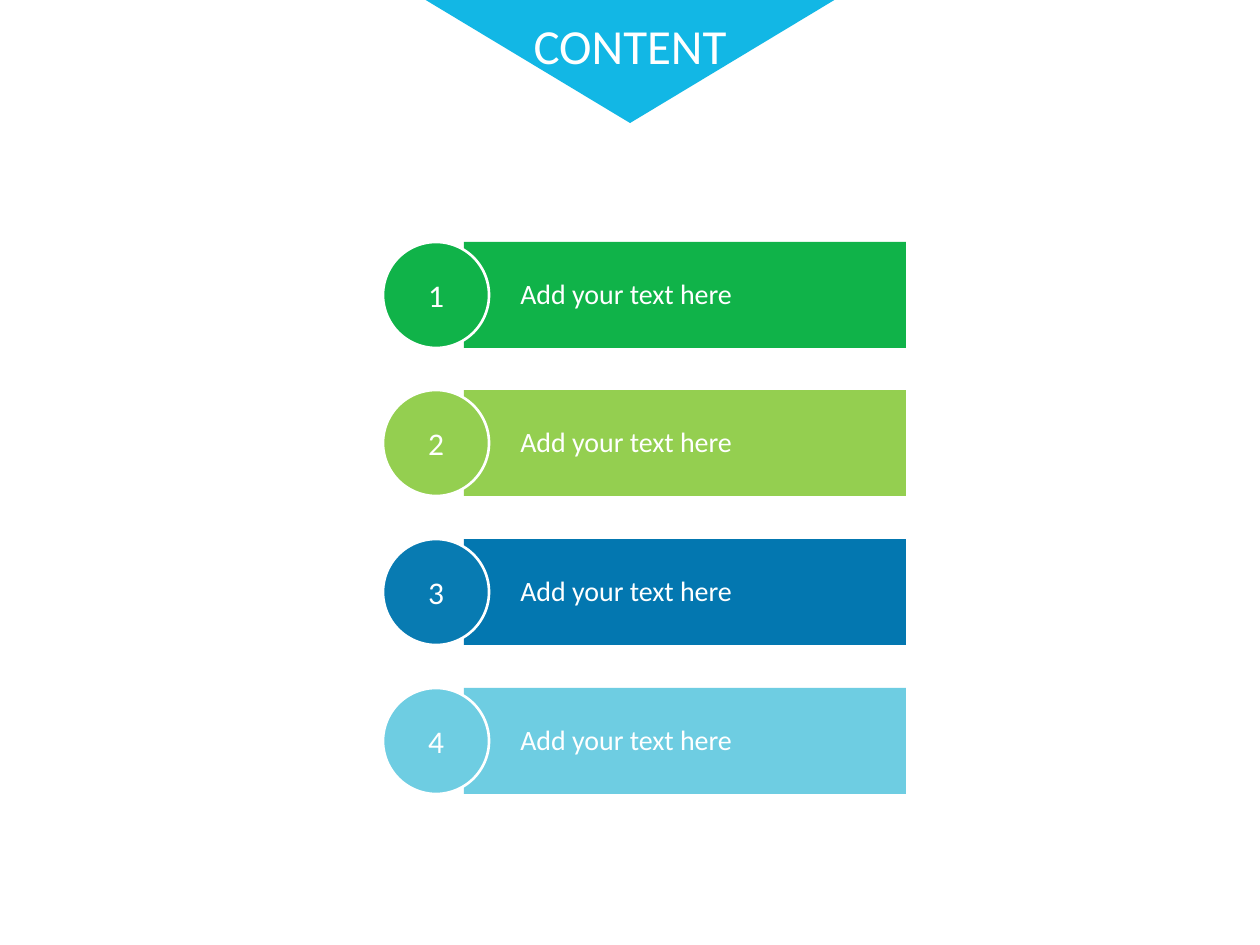
import pptx
import pptx.util
import pptx.dml.color
import pptx.enum.shapes
import pptx.enum.text

HUES = {
    "white": "FFFFFF",
    "sky": "12B7E5",
    "green": "10B349",
    "lime": "94CF50",
    "blue": "0377B0",
    "disc blue": "087BB2",
    "aqua": "6ECDE2",
}
KIND = pptx.enum.shapes.MSO_SHAPE
ALIGN = pptx.enum.text.PP_ALIGN
ANCHOR = pptx.enum.text.MSO_ANCHOR


class Deck:
    scale = 914400 / 126
    face = "Calibri"

    def __init__(self, wide, high):
        self.show = pptx.Presentation()
        self.show.slide_width = self.size(wide)
        self.show.slide_height = self.size(high)
        self.slide = self.show.slides.add_slide(self.show.slide_layouts[5])

    def size(self, pixels):
        return pptx.util.Emu(round(pixels * self.scale))

    def box(self, *edges):
        return [self.size(edge) for edge in edges]

    def hue(self, name):
        return pptx.dml.color.RGBColor.from_string(HUES[name])

    def words(self, shape, text, points, align, anchor):
        frame = shape.text_frame
        frame.text = text
        frame.word_wrap = True
        frame.auto_size = pptx.enum.text.MSO_AUTO_SIZE.NONE
        frame.vertical_anchor = anchor
        line = frame.paragraphs[0]
        line.alignment = align
        line.font.name = self.face
        line.font.size = pptx.util.Pt(points)
        line.font.color.rgb = self.hue("white")

    def shape(self, kind, edges, fill, rim=None):
        shape = self.slide.shapes.add_shape(kind, *self.box(*edges))
        shape.shadow.inherit = False
        shape.fill.solid()
        shape.fill.fore_color.rgb = self.hue(fill)
        if rim:
            shape.line.color.rgb = self.hue("white")
            shape.line.width = pptx.util.Pt(rim)
        else:
            shape.line.fill.background()
        return shape

    def title(self, edges, text):
        title = self.slide.shapes.title
        title.left, title.top, title.width, title.height = self.box(*edges)
        self.words(title, text, 28, ALIGN.CENTER, ANCHOR.TOP)
        title.element.getparent().append(title.element)

    def label(self, edges, text):
        label = self.slide.shapes.add_textbox(*self.box(*edges))
        self.words(label, text, 16, ALIGN.LEFT, ANCHOR.TOP)

    def disc(self, edges, text, fill):
        disc = self.shape(KIND.OVAL, edges, fill, 1.5)
        self.words(disc, text, 18, ALIGN.CENTER, ANCHOR.MIDDLE)


deck = Deck(1260, 945)
flag = deck.shape(KIND.ISOSCELES_TRIANGLE, (424, -1, 412, 124), "sky")
flag.rotation = 180
deck.title((514, 9, 232, 72), "CONTENT")

rows = [("green", "green"), ("lime", "lime"), ("blue", "disc blue"), ("aqua", "aqua")]
for step, (bar, disc) in enumerate(rows):
    top = round(242 + 148.5 * step)
    deck.shape(KIND.RECTANGLE, (464, top, 442, 106), bar)
    deck.disc((383, top, 106, 106), str(step + 1), disc)
    deck.label((508, top + 28, 328, 47), "Add your text here")

deck.show.save("out.pptx")
